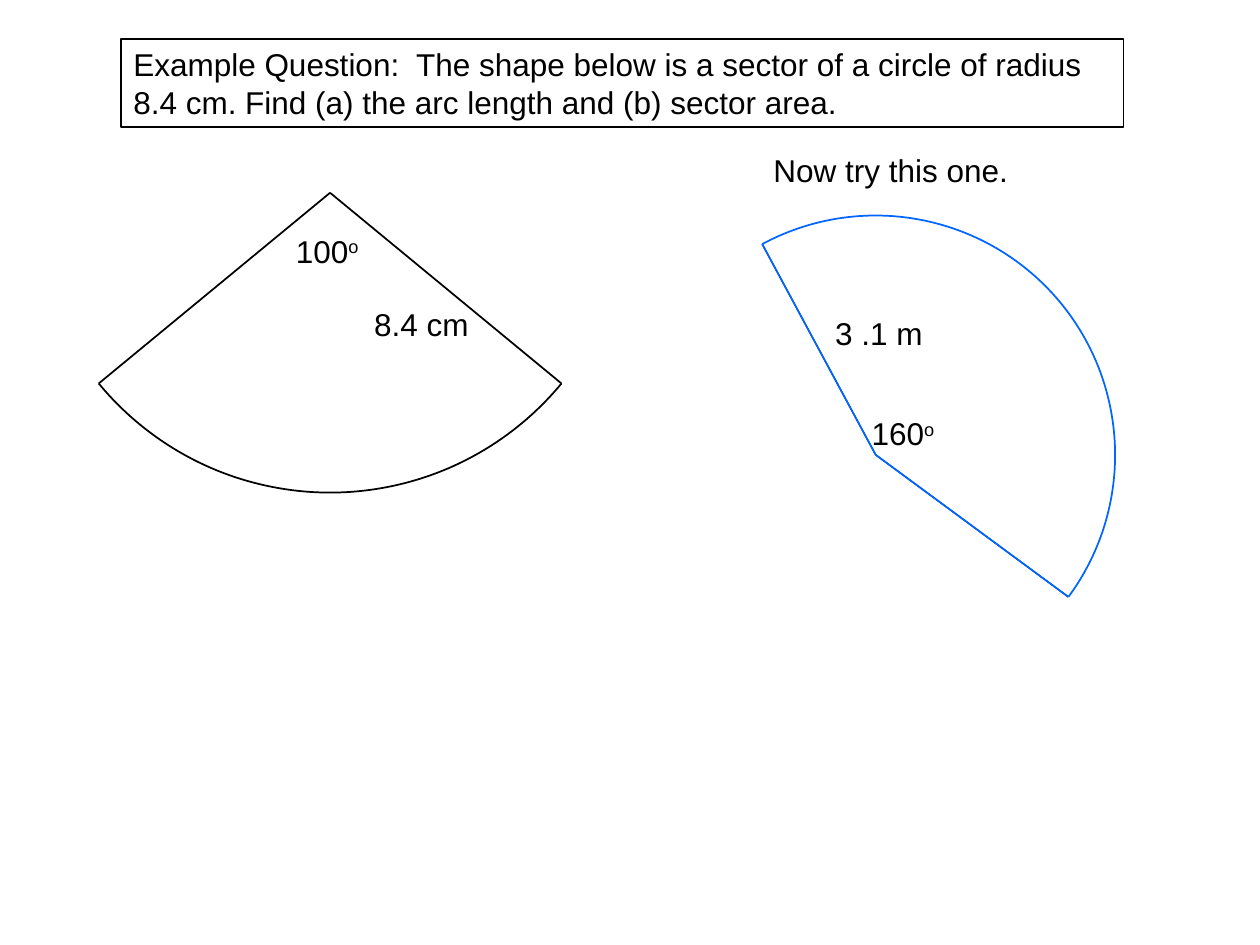
from math import cos, radians, sin, tan

from lxml import etree
from pptx import Presentation
from pptx.dml.color import RGBColor
from pptx.enum.shapes import MSO_CONNECTOR
from pptx.enum.text import MSO_AUTO_SIZE
from pptx.oxml.ns import qn
from pptx.util import Inches, Pt

STRAIGHT = MSO_CONNECTOR.STRAIGHT
GROW = MSO_AUTO_SIZE.SHAPE_TO_FIT_TEXT
BLACK, BLUE = "000000", "0066FF"


def paint(target, color):
    target.rgb = RGBColor.from_string(color)


def write(paragraph, text, size=18, font="Arial", color=BLACK, superscript=False):
    run = paragraph.add_run()
    run.text = text
    run.font.size = Pt(size)
    run.font.name = font
    paint(run.font.color, color)
    if superscript:
        run._r.get_or_add_rPr().set("baseline", "30000")


def on_circle(center, radius, degrees):
    angle = radians(degrees)
    return center[0] + radius * cos(angle), center[1] + radius * sin(angle)


def arc_points(center, radius, first, last, pieces):
    """Start point, then two handles and an end point for each Bezier piece."""
    step = (last - first) / pieces
    reach = 4 / 3 * tan(radians(step) / 4) * radius
    points = [on_circle(center, radius, first)]
    for i in range(pieces):
        begin, end = first + i * step, first + (i + 1) * step
        finish = on_circle(center, radius, end)
        points += [
            on_circle(points[-1], reach, begin + 90),
            on_circle(finish, reach, end - 90),
            finish,
        ]
    return points


def bend(outline):
    """Turn every three straight segments into one cubic curve."""
    segments = list(outline._element.iter(qn("a:lnTo")))
    for i in range(0, len(segments), 3):
        curve = etree.Element(qn("a:cubicBezTo"))
        segments[i].addprevious(curve)
        for segment in segments[i:i + 3]:
            curve.append(segment[0])
            segment.getparent().remove(segment)


class SectorSlide:
    def __init__(self, slide):
        self.shapes = slide.shapes

    def outline(self, shape, color, width):
        paint(shape.line.color, color)
        shape.line.width = Pt(width)

    def label(self, text, left, top, width, height=0.4, degree=False, border=None):
        box = self.shapes.add_textbox(*map(Inches, (left, top, width, height)))
        frame = box.text_frame
        frame.word_wrap = True
        frame.auto_size = GROW
        write(frame.paragraphs[0], text)
        if degree:
            write(frame.paragraphs[0], "o", superscript=True)
        if border:
            self.outline(box, border, 0.75)

    def line(self, start, end, color, width):
        link = self.shapes.add_connector(STRAIGHT, *map(Inches, (*start, *end)))
        self.outline(link, color, width)
        etree.SubElement(link._element.spPr, qn("a:effectLst"))

    def radii(self, center, radius, angles, color, width=1):
        for angle in angles:
            self.line(center, on_circle(center, radius, angle), color, width)

    def arc(self, center, radius, angles, color, turn=0, pieces=8):
        first, last = (angle - turn for angle in angles)
        points = [
            tuple(map(Inches, point))
            for point in arc_points(center, radius, first, last, pieces)
        ]
        builder = self.shapes.build_freeform(*points[0])
        builder.add_line_segments(points[1:], close=False)
        curve = builder.convert_to_shape()
        bend(curve)
        curve.shadow.inherit = False
        curve.fill.background()
        self.outline(curve, color, 1)

        # Turn about the circle's centre instead of the box's
        x, y = map(Inches, center)
        dx = curve.left + curve.width / 2 - x
        dy = curve.top + curve.height / 2 - y
        c, s = cos(radians(turn)), sin(radians(turn))
        curve.left = round(x + dx * c - dy * s - curve.width / 2)
        curve.top = round(y + dx * s + dy * c - curve.height / 2)
        curve.rotation = turn


def main():
    prs = Presentation()
    prs.slide_width, prs.slide_height = Inches(10), Inches(7.5)
    page = SectorSlide(prs.slides.add_slide(prs.slide_layouts[6]))

    # Question
    page.label(
        "Example Question:  The shape below is a sector of a circle of radius "
        "8.4 cm. Find (a) the arc length and (b) sector area.",
        0.96, 0.31, 7.96, 0.7, border=BLACK,
    )

    # Worked example: 100 degree sector
    example = ((2.62, 1.53), 2.38, (39.5, 140.5))
    page.arc(*example, BLACK)
    page.radii(*example, BLACK)
    page.label("100", 2.25, 1.79, 1.46, degree=True)
    page.label("8.4 cm", 2.87, 2.37, 1.42)

    # Practice: 160 degree sector, blue over thin black radii
    practice = ((6.95, 3.61), 1.9, (36.4, -118.3))
    page.radii(*practice, BLACK, width=0.75)
    page.arc(*practice, BLUE, turn=248.7)
    page.radii(*practice, BLUE)
    page.label("160", 6.82, 3.24, 1.46, degree=True)
    page.label("3 .1 m", 6.53, 2.44, 1.42)
    page.label("Now try this one.", 6.04, 1.15, 3.15)

    prs.save("out.pptx")


if __name__ == "__main__":
    main()
